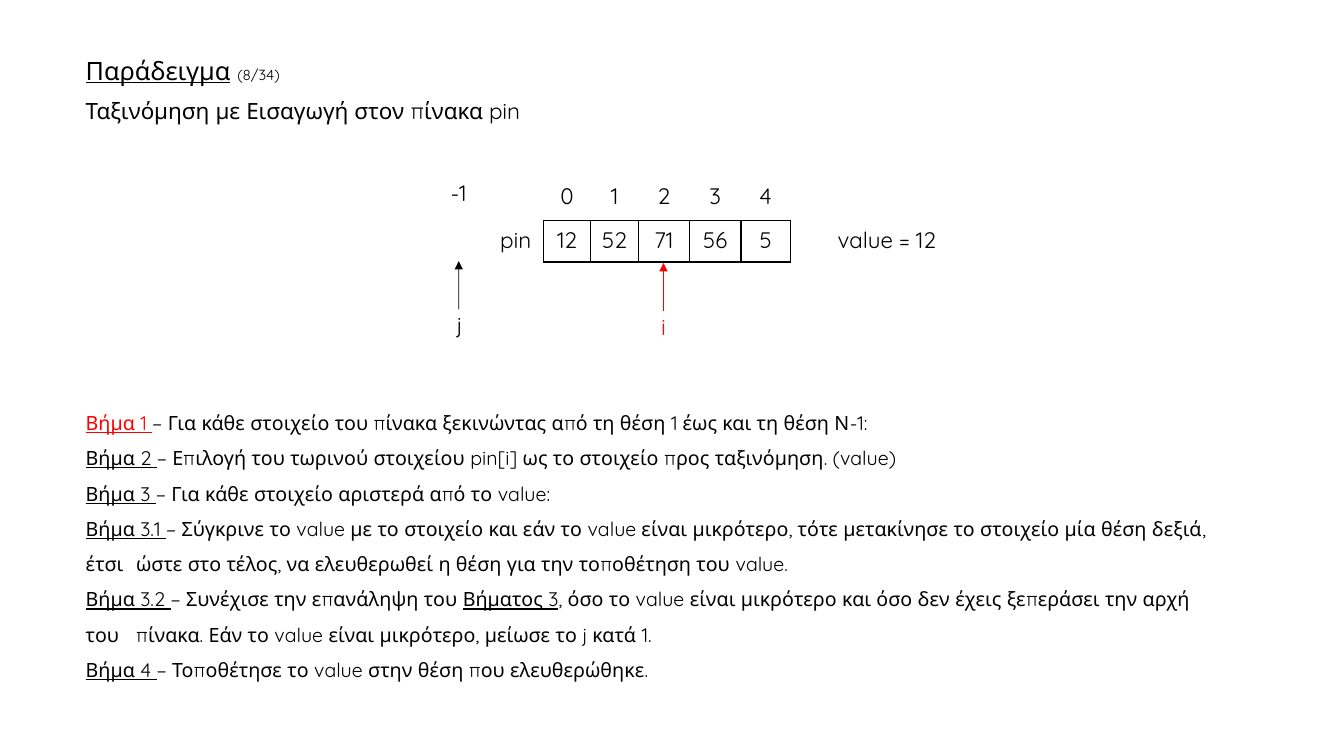
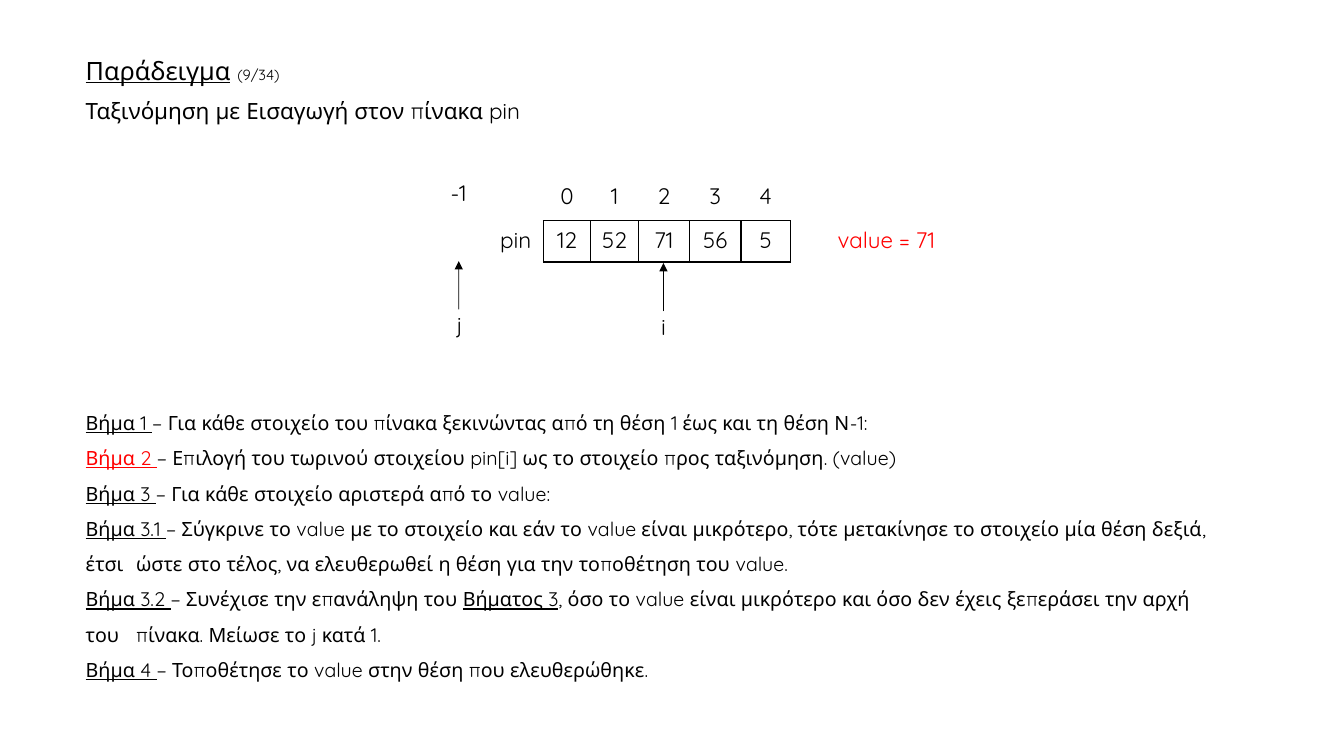
from lxml.etree import SubElement
from pptx import Presentation
from pptx.dml.color import RGBColor
from pptx.enum.shapes import MSO_CONNECTOR
from pptx.enum.text import MSO_ANCHOR, MSO_AUTO_SIZE, PP_ALIGN
from pptx.oxml.ns import qn
from pptx.util import Inches, Pt

BLACK, RED = "000000", "FF0000"
PLAIN_GRID = "{2D5ABB26-0587-4C30-8999-92F81FD0307C}"
COLS = [0.55, 0.47, 0.47, 0.51, 0.51, 0.49]
ROWS = [0.43, 0.41]
INDEXES = ["", "0", "1", "2", "3", "4"]
VALUES = ["pin", "12", "52", "71", "56", "5"]


def rgb(code):
    return RGBColor.from_string(code)


def steps(ending):
    """Each step is a list of texts, underlined and plain by turns."""
    return [
        ["Βήμα 1 ", "− Για κάθε στοιχείο του πίνακα ξεκινώντας από τη θέση 1 "
         "έως και τη θέση Ν-1:"],
        ["Βήμα 2 ", "− Επιλογή του τωρινού στοιχείου pin[i] ως το στοιχείο "
         "προς ταξινόμηση. (value)"],
        ["Βήμα 3 ", "− Για κάθε στοιχείο αριστερά από το value:"],
        ["Βήμα 3.1 ", "− Σύγκρινε το value με το στοιχείο και εάν το value "
         "είναι μικρότερο, τότε μετακίνησε το στοιχείο μία θέση δεξιά, έτσι "
         "\tώστε στο τέλος, να ελευθερωθεί η θέση για την τοποθέτηση του value."],
        ["Βήμα 3.2 ", "− Συνέχισε την επανάληψη του ", "Βήματος 3",
         ", όσο το value είναι μικρότερο και όσο δεν έχεις ξεπεράσει την αρχή "
         "του \tπίνακα. " + ending],
        ["Βήμα 4 ", "− Τοποθέτησε το value στην θέση που ελευθερώθηκε."],
    ]


class Deck:
    """Holds the shared style and the current slide."""
    font = "Quicksand"
    size = 16

    def __init__(self):
        self.prs = Presentation()
        self.prs.slide_width = Inches(13.33)
        self.prs.slide_height = Inches(7.5)

    def new(self):
        self.slide = self.prs.slides.add_slide(self.prs.slide_layouts[1])

    def style(self, run, size=size, color=BLACK, line=False):
        font = run.font
        font.name, font.size, font.underline = self.font, Pt(size), line
        font.color.rgb = rgb(color)

    def add(self, para, text, *look):
        run = para.add_run()
        run.text = text
        self.style(run, *look)

    def place(self, shape, left, top, width, height):
        shape.left, shape.top = Inches(left), Inches(top)
        shape.width, shape.height = Inches(width), Inches(height)

    def title(self, count):
        box = self.slide.shapes.title
        self.place(box, 0.75, 0.52, 10.79, 0.77)
        frame = box.text_frame
        frame.auto_size = MSO_AUTO_SIZE.NONE
        frame.vertical_anchor = MSO_ANCHOR.MIDDLE
        head, sub = frame.paragraphs[0], frame.add_paragraph()
        self.add(head, "Παράδειγμα", 18, BLACK, True)
        self.add(head, " ", 18)
        self.add(head, f"({count}/34)", 10.5)
        self.add(sub, "Ταξινόμηση με Εισαγωγή στον πίνακα pin")
        for para in (head, sub):
            para.alignment, para.line_spacing = PP_ALIGN.LEFT, 0.9
        sub.space_before = Pt(10)

    def body(self, items, active):
        """List the steps, with the label of the active one in red."""
        box = self.slide.placeholders[1]
        self.place(box, 0.75, 3.91, 11.53, 2.88)
        frame = box.text_frame
        frame.auto_size = MSO_AUTO_SIZE.SHAPE_TO_FIT_TEXT
        for num, item in enumerate(items):
            para = frame.add_paragraph() if num else frame.paragraphs[0]
            para.line_spacing, para.space_before = 1.5, Pt(0)
            props = para._p.get_or_add_pPr()
            props.set("marL", "0")
            props.set("indent", "0")
            SubElement(props, qn("a:buNone"))
            for part, text in enumerate(item):
                color = RED if num == active and part == 0 else BLACK
                self.add(para, text, 14, color, part % 2 == 0)

    def label(self, text, left, top, width, height=0.36, color=BLACK,
              align=PP_ALIGN.LEFT):
        box = self.slide.shapes.add_textbox(0, 0, 0, 0)
        self.place(box, left, top, width, height)
        frame = box.text_frame
        frame.word_wrap = True
        frame.text = text
        para = frame.paragraphs[0]
        para.alignment, para.line_spacing = align, 0.9
        self.style(para.runs[0], self.size, color)
        return box

    def pointer(self, name, mid, top, color=BLACK):
        """Draw a name with an arrow that rises from it."""
        box = self.label(name, mid - 0.12, top, 0.24, 0.36, color,
                         PP_ALIGN.CENTER)
        x = Inches(mid)
        arrow = self.slide.shapes.add_connector(
            MSO_CONNECTOR.STRAIGHT, x, Inches(top), x, Inches(top - 0.48))
        arrow.begin_connect(box, 0)
        arrow.line.color.rgb = rgb(color)
        arrow.line.width = Pt(0.5)
        SubElement(arrow.line._get_or_add_ln(), qn("a:tailEnd"), type="triangle")
        SubElement(arrow._element.spPr, qn("a:effectLst"))

    def border(self, cell, sides):
        props = cell._tc.get_or_add_tcPr()
        for side in sides:
            line = SubElement(props, qn(f"a:ln{side}"), w=str(Pt(1)))
            fill = SubElement(line, qn("a:solidFill"))
            SubElement(fill, qn("a:srgbClr"), val=BLACK)

    def grid(self, left, top):
        """Draw the array, with its indexes above and its name at the left."""
        table = self.slide.shapes.add_table(
            len(ROWS), len(COLS), Inches(left), Inches(top),
            Inches(sum(COLS)), Inches(sum(ROWS))).table
        table.first_row = table.horz_banding = False
        table._tbl.tblPr.find(qn("a:tableStyleId")).text = PLAIN_GRID
        for col, width in zip(table.columns, COLS):
            col.width = Inches(width)
        for row, height in zip(table.rows, ROWS):
            row.height = Inches(height)
        for r, texts in enumerate((INDEXES, VALUES)):
            for c, text in enumerate(texts):
                cell = table.cell(r, c)
                if c:
                    self.border(cell, "LRTB" if r else "B")
                elif r:
                    self.border(cell, "R")
                cell.fill.background()
                cell.text = text
                para = cell.text_frame.paragraphs[0]
                para.alignment = PP_ALIGN.CENTER
                for run in para.runs:
                    self.style(run)


def main():
    deck = Deck()
    scenes = [
        (8, 0, "value = 12", RED, BLACK,
         "Εάν το value είναι μικρότερο, μείωσε το j κατά 1."),
        (9, 1, "value = 71", BLACK, RED, "Μείωσε το j κατά 1."),
    ]
    for count, active, value, mark, tint, ending in scenes:
        deck.new()
        deck.title(count)
        deck.body(steps(ending), active)
        deck.grid(4.84, 1.76)
        deck.label("-1", 4.37, 1.76, 0.47)
        deck.label(value, 8.21, 2.22, 1.31, 0.47, tint)
        deck.pointer("j", 4.55, 3.07)
        deck.pointer("i", 6.58, 3.09, mark)
    deck.prs.save("out.pptx")


if __name__ == "__main__":
    main()
